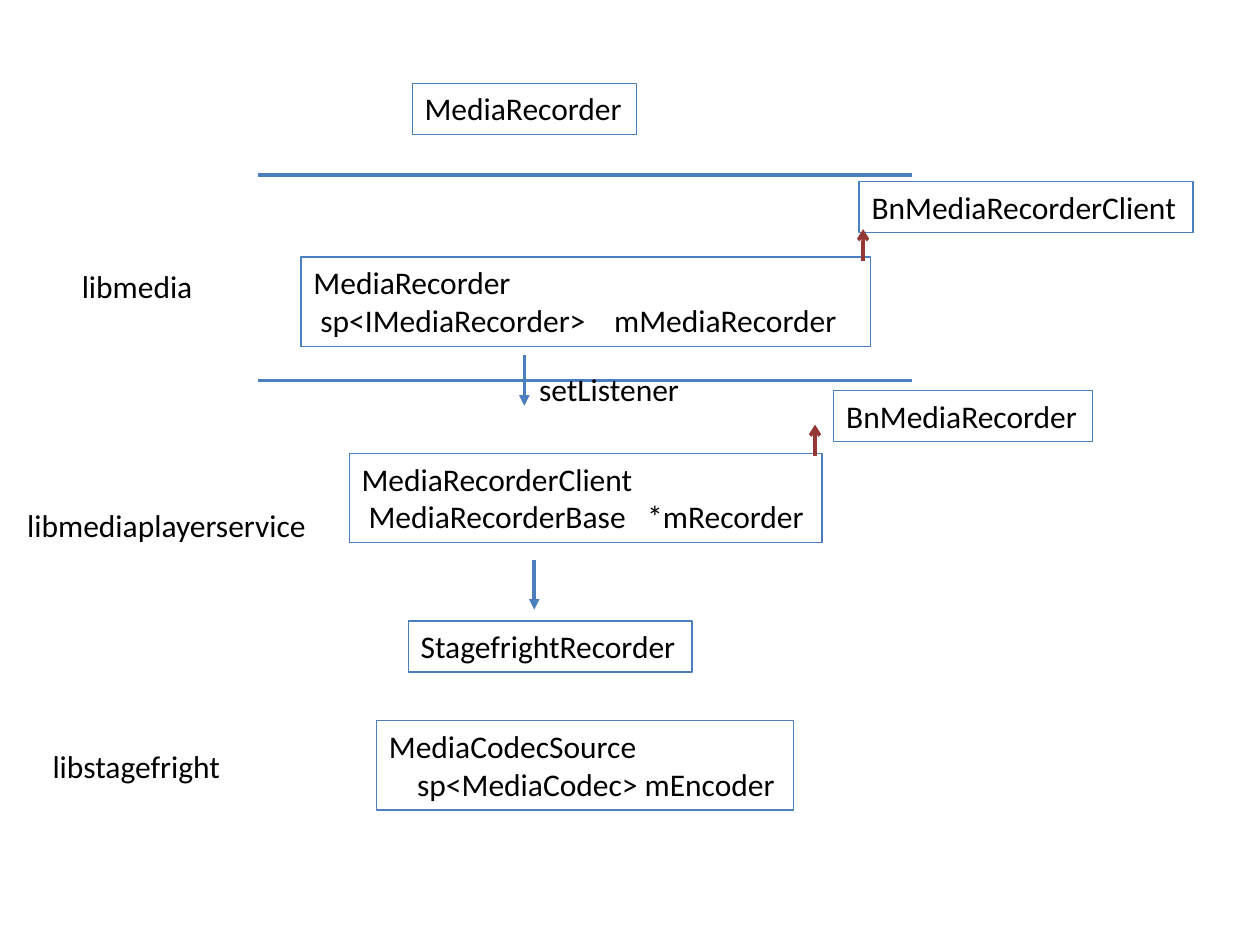
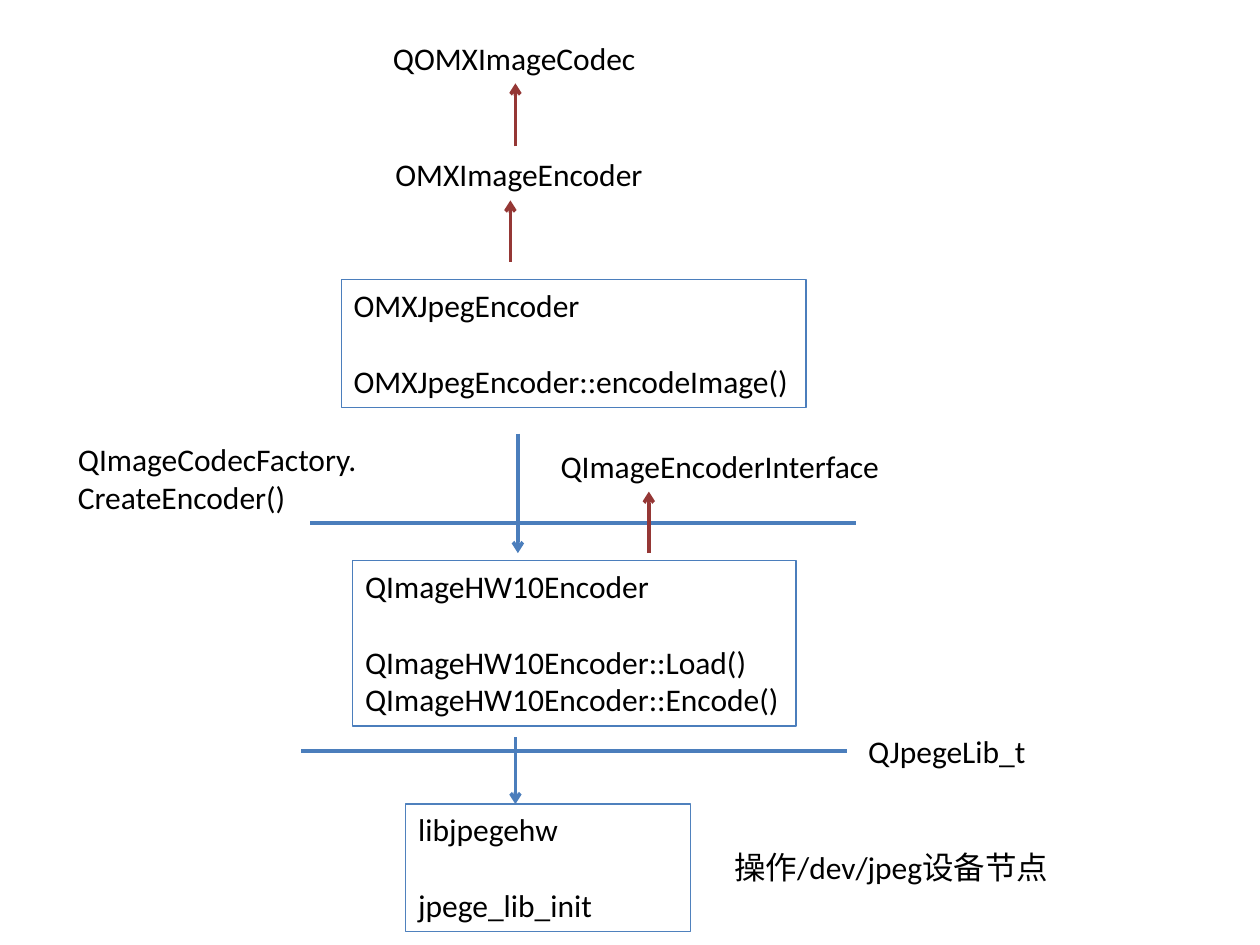
from dataclasses import dataclass
from typing import Optional

from lxml import etree
from pptx import Presentation
from pptx.dml.color import RGBColor
from pptx.enum import shapes, text
from pptx.oxml import ns
from pptx.util import Cm, Pt

BLUE = RGBColor(0x4B, 0x7E, 0xBC)
SKY = RGBColor(0x4F, 0x81, 0xBD)
RED = RGBColor(0x95, 0x37, 0x35)
BLACK = RGBColor(0, 0, 0)
FONT = "Calibri"
SIZE = Pt(18)
ROW = 0.77  # height of one line of text, in cm
PAD = 0.26  # top and bottom insets together


@dataclass(frozen=True)
class Box:
    """Text with an optional frame.

    gap leaves one free line below the first, dent indents the member line,
    and spread widens the space between its type and name, in points.
    """
    words: str
    x: float
    y: float
    w: float
    edge: Optional[RGBColor] = BLUE
    gap: bool = False
    dent: float = 0
    spread: float = 0


@dataclass(frozen=True)
class Label(Box):
    edge: Optional[RGBColor] = None


@dataclass(frozen=True)
class Rule:
    """Level line that parts two layers."""
    x: float
    end: float
    y: float


@dataclass(frozen=True)
class Arrow:
    x: float
    y: float
    end: float
    color: RGBColor = BLUE
    head: str = "arrow"


RECORD = [
    Rule(5.21, 18.39, 3.53),
    Rule(5.21, 18.39, 7.67),
    Box("MediaRecorder", 8.31, 1.68, 4.52),
    Box("BnMediaRecorderClient", 17.32, 3.66, 6.73),
    Box("MediaRecorder\nsp<IMediaRecorder> mMediaRecorder",
        6.07, 5.18, 11.48, dent=0.14, spread=12.2),
    Box("BnMediaRecorder", 16.81, 7.87, 5.21),
    Box("MediaRecorderClient\nMediaRecorderBase *mRecorder",
        7.04, 9.14, 9.53, dent=0.14, spread=8.1),
    Box("StagefrightRecorder", 8.23, 12.52, 5.72),
    Box("MediaCodecSource\nsp<MediaCodec> mEncoder",
        7.59, 14.53, 8.41, SKY, dent=0.57),
    Label("libmedia", 1.4, 5.26, 2.77),
    Label("libmediaplayerservice", 0.3, 10.08, 6.2),
    Label("libstagefright", 0.81, 14.94, 3.94),
    Label("setListener", 10.62, 7.34, 3.35),
    Arrow(17.4, 5.26, 4.62, RED),
    Arrow(16.43, 9.19, 8.56, RED),
    Arrow(10.57, 7.16, 8.18, head="triangle"),
    Arrow(10.77, 11.28, 12.29, head="triangle"),
]

ENCODE = [
    Rule(6.25, 17.25, 10.54),
    Rule(6.07, 17.07, 15.14),
    Label("QOMXImageCodec", 7.67, 0.66, 5.46),
    Label("OMXImageEncoder", 7.72, 3, 5.56),
    Box("OMXJpegEncoder\nOMXJpegEncoder::encodeImage()",
        6.88, 5.64, 9.37, gap=True),
    Label("QImageCodecFactory.\nCreateEncoder()", 1.32, 8.74, 6.32),
    Label("QImageEncoderInterface", 11.05, 8.89, 7.01),
    Box("QImageHW10Encoder\nQImageHW10Encoder::Load()\n"
        "QImageHW10Encoder::Encode()", 7.11, 11.3, 8.94, gap=True),
    Label("QJpegeLib_t", 17.25, 14.63, 3.73),
    Box("libjpegehw\njpege_lib_init", 8.18, 16.21, 5.74, SKY, gap=True),
    Label("操作/dev/jpeg设备节点", 14.55, 16.97, 6.6),
    Arrow(10.39, 2.95, 1.68, RED),
    Arrow(10.29, 5.28, 4.04, RED),
    Arrow(13.08, 11.15, 9.91, RED),
    Arrow(10.44, 8.74, 11.15),
    Arrow(10.39, 14.86, 16.21),
]


def indent(para, dent: float) -> None:
    props = para._p.get_or_add_pPr()
    props.set("marL", str(Cm(dent)))
    props.set("indent", "0")


def widen(para, spread: float) -> None:
    """Widen the one space of a paragraph by the given points."""
    kind, name = para.text.split(" ")
    para.text = kind
    space = para.add_run()
    space.text = " "
    space._r.get_or_add_rPr().set("spc", str(round(spread * 100)))
    para.add_run().text = name


def write(frame, box: Box) -> None:
    frame.text = box.words
    frame.word_wrap = True
    frame.margin_right = 0
    frame.vertical_anchor = text.MSO_ANCHOR.TOP
    for i, para in enumerate(frame.paragraphs):
        para.alignment = text.PP_ALIGN.LEFT
        if i == 1 and box.gap:
            para.space_before = Cm(ROW)
        if i and box.dent:
            indent(para, box.dent)
        if i and box.spread:
            widen(para, box.spread)
        for run in para.runs:
            run.font.name = FONT
            run.font.size = SIZE
            run.font.color.rgb = BLACK


def frame(slide, box: Box) -> None:
    """Draw a box or a bare label with its text."""
    rows = box.words.count("\n") + 1 + box.gap
    area = Cm(box.x), Cm(box.y), Cm(box.w), Cm(PAD + ROW * rows)
    if box.edge is None:
        shape = slide.shapes.add_textbox(*area)
    else:
        shape = slide.shapes.add_shape(shapes.MSO_SHAPE.RECTANGLE, *area)
        shape.shadow.inherit = False
        shape.fill.background()
        shape.line.color.rgb = box.edge
        shape.line.width = Pt(0.75)
    write(shape.text_frame, box)


def stroke(slide, x: float, y: float, right: float, low: float,
           color: RGBColor, head: str = "") -> None:
    """Draw a straight line, with an arrowhead at its end if one is named."""
    link = slide.shapes.add_connector(
        shapes.MSO_CONNECTOR.STRAIGHT, Cm(x), Cm(y), Cm(right), Cm(low))
    link.line.color.rgb = color
    link.line.width = Pt(2)
    if head:
        etree.SubElement(link.line._get_or_add_ln(), ns.qn("a:tailEnd"), type=head)
    etree.SubElement(link._element.spPr, ns.qn("a:effectLst"))


def draw(slide, part) -> None:
    if isinstance(part, Box):
        frame(slide, part)
    elif isinstance(part, Rule):
        stroke(slide, part.x, part.y, part.end, part.y, BLUE)
    else:
        stroke(slide, part.x, part.y, part.x, part.end, part.color, part.head)


def main() -> None:
    deck = Presentation()
    deck.slide_width, deck.slide_height = Cm(25.4), Cm(19.05)
    for parts in (RECORD, ENCODE):
        slide = deck.slides.add_slide(deck.slide_layouts[6])
        for part in parts:
            draw(slide, part)
    deck.save("out.pptx")


if __name__ == "__main__":
    main()
